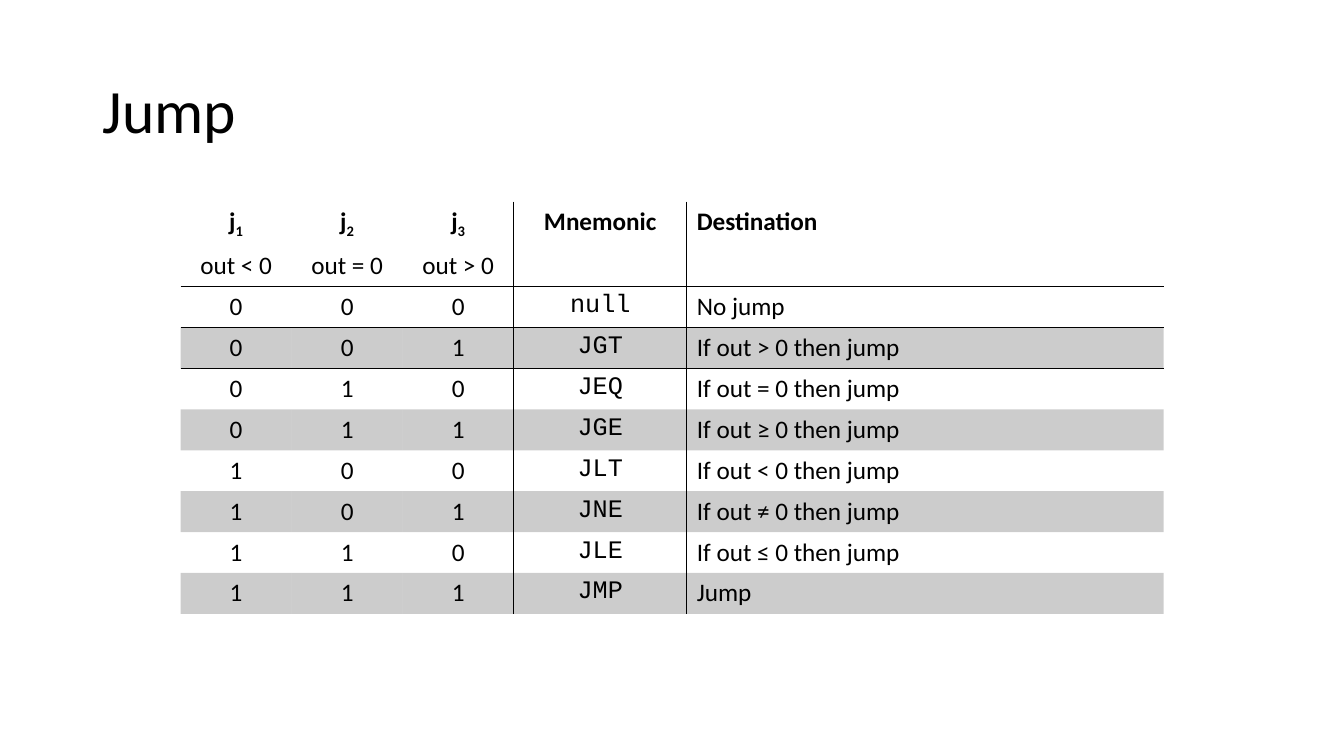
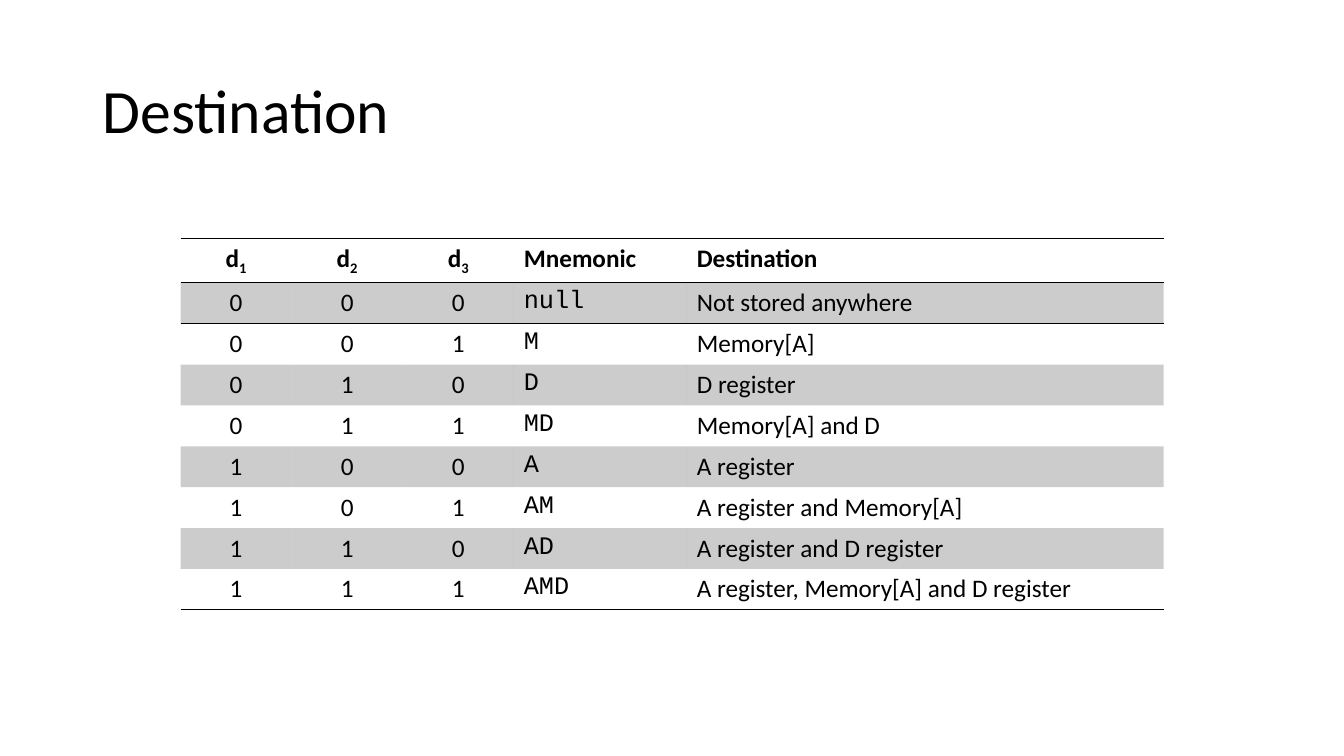
"""Build two slides that tabulate jump and destination instruction bits."""

from dataclasses import dataclass

from lxml.etree import SubElement
from pptx import Presentation
from pptx.dml.color import RGBColor
from pptx.enum.text import MSO_ANCHOR, PP_ALIGN
from pptx.oxml import parse_xml
from pptx.oxml.ns import nsdecls, qn
from pptx.slide import Slide
from pptx.table import Table, _Cell
from pptx.text.text import _Paragraph
from pptx.util import Cm, Pt

BLACK = RGBColor(0, 0, 0)
BODY_FONT = "Calibri"
CODE_FONT = "Courier New"
BAND_OPACITY = 20
TITLE_SIZE = 44
TABLE_SIZE = 18
TITLE_LAYOUT = 5
PLAIN_STYLE = "{2D5ABB26-0587-4C30-8999-92F81FD0307C}"
COLUMN_WIDTHS = (2.8, 2.8, 2.8, 4.36, 12.02)
BIT_COUNT = 3
MNEMONIC = 3
DESTINATION = 4
ROW_HEIGHT = 1.03
TABLE_LEFT = 4.55


@dataclass(frozen=True)
class BitTable:
    """Content and look of one table; each row index supplies its bits."""

    title: str
    top: float
    letter: str
    conditions: tuple[str, ...]
    entries: tuple[tuple[str, str], ...]
    mnemonic_align: PP_ALIGN
    first_band: int
    row_rules: tuple[int, ...]
    column_rules: tuple[int, ...]

    @property
    def header_rows(self) -> int:
        """Return the number of rows above the entries."""
        return 2 if self.conditions else 1

    @property
    def row_count(self) -> int:
        """Return the number of rows in the whole table."""
        return self.header_rows + len(self.entries)


TABLES = (
    BitTable(
        title="Jump",
        top=5.08,
        letter="j",
        conditions=("out < 0", "out = 0", "out > 0"),
        entries=(
            ("null", "No jump"),
            ("JGT", "If out > 0 then jump"),
            ("JEQ", "If out = 0 then jump"),
            ("JGE", "If out ≥ 0 then jump"),
            ("JLT", "If out < 0 then jump"),
            ("JNE", "If out ≠ 0 then jump"),
            ("JLE", "If out ≤ 0 then jump"),
            ("JMP", "Jump"),
        ),
        mnemonic_align=PP_ALIGN.CENTER,
        first_band=1,
        row_rules=(2, 3),
        column_rules=(MNEMONIC, DESTINATION),
    ),
    BitTable(
        title="Destination",
        top=6.01,
        letter="d",
        conditions=(),
        entries=(
            ("null", "Not stored anywhere"),
            ("M", "Memory[A]"),
            ("D", "D register"),
            ("MD", "Memory[A] and D"),
            ("A", "A register"),
            ("AM", "A register and Memory[A]"),
            ("AD", "A register and D register"),
            ("AMD", "A register, Memory[A] and D register"),
        ),
        mnemonic_align=PP_ALIGN.LEFT,
        first_band=0,
        row_rules=(0, 1, 9),
        column_rules=(),
    ),
)


def add_span(
    para: _Paragraph,
    text: str,
    size: float = TABLE_SIZE,
    font: str = BODY_FONT,
    bold: bool = False,
    subscript: bool = False,
) -> None:
    """Append one formatted run to a paragraph."""
    span = para.add_run()
    span.text = text
    span.font.name = font
    span.font.size = Pt(size)
    span.font.bold = bold
    span.font.color.rgb = BLACK
    if subscript:
        span._r.get_or_add_rPr().set("baseline", "-25000")


def add_title(page: Slide, text: str) -> None:
    """Place and fill the title placeholder."""
    box = page.shapes.title
    box.left, box.top = Cm(2.33), Cm(1.01)
    box.width, box.height = Cm(29.21), Cm(3.68)
    box.text_frame.vertical_anchor = MSO_ANCHOR.MIDDLE
    para = box.text_frame.paragraphs[0]
    para.alignment = PP_ALIGN.LEFT
    para.line_spacing = 0.9
    add_span(para, text, TITLE_SIZE)


def style_cell(cell: _Cell, sides: list[str], banded: bool) -> None:
    """Give a cell its fill and the black borders on the named sides."""
    if banded:
        cell.fill.solid()
        cell.fill.fore_color.rgb = BLACK
    else:
        cell.fill.background()
    properties = cell._tc.get_or_add_tcPr()
    for colour in properties.iter(qn("a:srgbClr")):
        SubElement(colour, qn("a:alpha"), val=str(BAND_OPACITY * 1000))
    for position, side in enumerate(sides):
        border = parse_xml(
            f'<a:ln{side} {nsdecls("a")} w="{Pt(1)}"><a:solidFill>'
            f'<a:srgbClr val="{BLACK}"/></a:solidFill></a:ln{side}>'
        )
        properties.insert(position, border)


def style_grid(grid: Table, content: BitTable) -> None:
    """Apply bands and rules to every cell."""
    for row in range(content.row_count):
        entry = row - content.header_rows
        banded = entry >= 0 and entry % 2 == content.first_band
        for column in range(len(COLUMN_WIDTHS)):
            ruled = {
                "L": column in content.column_rules,
                "R": column + 1 in content.column_rules,
                "T": row in content.row_rules,
                "B": row + 1 in content.row_rules,
            }
            sides = [side for side, present in ruled.items() if present]
            style_cell(grid.cell(row, column), sides, banded)


def fill_header(grid: Table, content: BitTable) -> None:
    """Write the column headings and any conditions below them."""
    for column in range(BIT_COUNT):
        para = grid.cell(0, column).text_frame.paragraphs[0]
        para.alignment = PP_ALIGN.CENTER
        add_span(para, content.letter, bold=True)
        add_span(para, str(column + 1), bold=True, subscript=True)
    for column, condition in enumerate(content.conditions):
        para = grid.cell(1, column).text_frame.paragraphs[0]
        para.alignment = PP_ALIGN.CENTER
        add_span(para, condition)
    headings = (
        (MNEMONIC, "Mnemonic", content.mnemonic_align),
        (DESTINATION, "Destination", PP_ALIGN.LEFT),
    )
    for column, heading, alignment in headings:
        cell = grid.cell(0, column)
        if content.conditions:
            cell.merge(grid.cell(1, column))
        para = cell.text_frame.paragraphs[0]
        para.alignment = alignment
        add_span(para, heading, bold=True)


def fill_entries(grid: Table, content: BitTable) -> None:
    """Write the bits, mnemonic and meaning of every entry."""
    alignments = [PP_ALIGN.CENTER] * BIT_COUNT
    alignments += [content.mnemonic_align, PP_ALIGN.LEFT]
    for index, entry in enumerate(content.entries):
        texts = (*f"{index:0{BIT_COUNT}b}", *entry)
        for column, (text, alignment) in enumerate(zip(texts, alignments)):
            cell = grid.cell(content.header_rows + index, column)
            para = cell.text_frame.paragraphs[0]
            para.alignment = alignment
            font = CODE_FONT if column == MNEMONIC else BODY_FONT
            add_span(para, text, font=font)


def add_bit_table(page: Slide, content: BitTable) -> None:
    """Add the table with its sizes, text and styling."""
    frame = page.shapes.add_table(
        content.row_count,
        len(COLUMN_WIDTHS),
        Cm(TABLE_LEFT),
        Cm(content.top),
        Cm(sum(COLUMN_WIDTHS)),
        Cm(ROW_HEIGHT * content.row_count),
    )
    grid = frame.table
    grid.first_row = grid.horz_banding = False
    for style in grid._tbl.iter(qn("a:tableStyleId")):
        style.text = PLAIN_STYLE
    for column, width in zip(grid.columns, COLUMN_WIDTHS):
        column.width = Cm(width)
    for row in grid.rows:
        row.height = Cm(ROW_HEIGHT)
    fill_header(grid, content)
    fill_entries(grid, content)
    style_grid(grid, content)


def main() -> None:
    """Build and save the deck."""
    deck = Presentation()
    deck.slide_width, deck.slide_height = Cm(33.87), Cm(19.05)
    for content in TABLES:
        page = deck.slides.add_slide(deck.slide_layouts[TITLE_LAYOUT])
        add_title(page, content.title)
        add_bit_table(page, content)
    deck.save("out.pptx")


if __name__ == "__main__":
    main()
